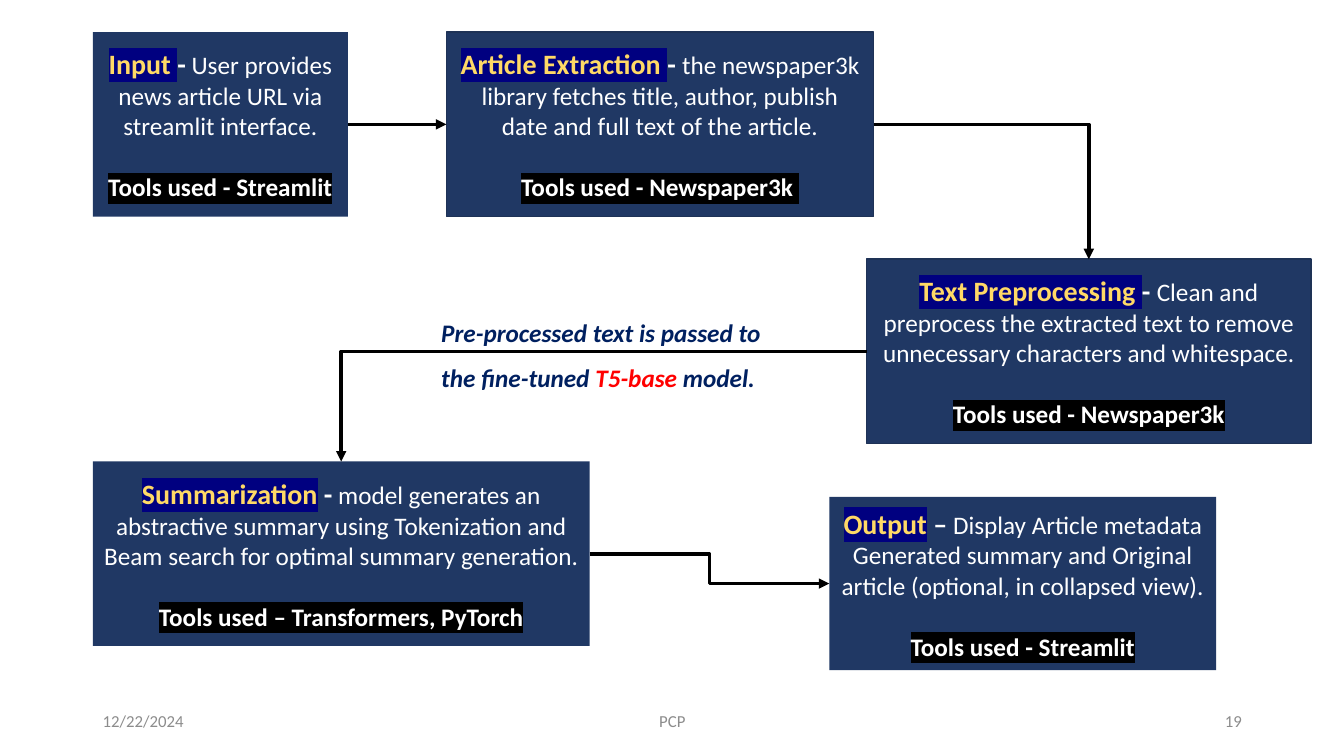
from lxml import etree
from pptx import Presentation
from pptx.dml.color import RGBColor
from pptx.enum.shapes import MSO_CONNECTOR, MSO_SHAPE
from pptx.enum.text import MSO_ANCHOR, PP_ALIGN
from pptx.oxml.ns import qn
from pptx.util import Cm, Pt

RECT = MSO_SHAPE.RECTANGLE
STRAIGHT, ELBOW = MSO_CONNECTOR.STRAIGHT, MSO_CONNECTOR.ELBOW
LEFT, CENTER, RIGHT = PP_ALIGN.LEFT, PP_ALIGN.CENTER, PP_ALIGN.RIGHT
TOP, MIDDLE = MSO_ANCHOR.TOP, MSO_ANCHOR.MIDDLE
SIDE_TOP, SIDE_LEFT, SIDE_RIGHT = 0, 1, 3

COLORS = {
    "box": "203864", "edge": "1E3256", "title": "FFD966", "mark": "000080",
    "white": "FFFFFF", "black": "000000", "note": "002060", "model": "FF0000",
    "footer": "8C8C8C",
}


def color(name):
    return RGBColor.from_string(COLORS[name])


class Flow:
    font = "Calibri"
    body, head, small = 18, 20, 12

    def __init__(self, slide):
        self.slide = slide

    def add_text(self, para, text, size=body, fill="white", bold=False,
                 italic=False, mark=None):
        run = para.add_run()
        run.text = text
        font = run.font
        font.name, font.size = self.font, Pt(size)
        font.bold, font.italic = bold, italic
        font.color.rgb = color(fill)
        if mark:
            light = etree.Element(qn("a:highlight"))
            etree.SubElement(light, qn("a:srgbClr"), val=COLORS[mark])
            props = run._r.get_or_add_rPr()
            props.find(qn("a:solidFill")).addnext(light)

    def label(self, left, top, width, height, align=LEFT, anchor=MIDDLE):
        """Add an empty text box and return its paragraph."""
        box = self.slide.shapes.add_textbox(
            Cm(left), Cm(top), Cm(width), Cm(height))
        frame = box.text_frame
        frame.word_wrap = True
        frame.vertical_anchor = anchor
        para = frame.paragraphs[0]
        para.alignment = align
        return para

    def step(self, place, title, dash, text, tools, edge=False):
        """Add one stage of the pipeline."""
        box = self.slide.shapes.add_shape(RECT, *map(Cm, place))
        box.shadow.inherit = False
        box.fill.solid()
        box.fill.fore_color.rgb = color("box")
        if edge:
            box.line.color.rgb = color("edge")
            box.line.width = Pt(1)
        else:
            box.line.fill.background()
        frame = box.text_frame
        frame.word_wrap = True
        frame.vertical_anchor = MIDDLE
        about, used = frame.paragraphs[0], frame.add_paragraph()
        about.alignment = used.alignment = CENTER
        used.space_before = Pt(22)
        self.add_text(about, title, size=self.head, fill="title", bold=True,
                      mark="mark")
        self.add_text(about, dash, size=self.head, bold=True)
        self.add_text(about, text)
        self.add_text(used, tools, bold=True, mark="black")
        return box

    def arrow(self, start, side, end, goal, kind=ELBOW, corner=False):
        """Join two boxes; corner makes an elbow with a single bend."""
        link = self.slide.shapes.add_connector(kind, 0, 0, 0, 0)
        link.begin_connect(start, side)
        link.end_connect(end, goal)
        link.line.color.rgb = color("black")
        link.line.width = Pt(2.5)
        props = link._element.spPr
        if corner:
            props.find(qn("a:prstGeom")).set("prst", "bentConnector2")
        etree.SubElement(props.find(qn("a:ln")), qn("a:tailEnd"),
                         type="triangle")
        etree.SubElement(props, qn("a:effectLst"))


def main():
    deck = Presentation()
    deck.slide_width, deck.slide_height = Cm(33.87), Cm(19.05)
    flow = Flow(deck.slides.add_slide(deck.slide_layouts[6]))

    for left, width, align, text in (
            (2.34, 7.62, LEFT, "12/22/2024"),
            (11.23, 11.43, CENTER, "PCP"),
            (23.93, 7.62, RIGHT, "19")):
        para = flow.label(left, 17.65, width, 1.02, align=align)
        flow.add_text(para, text, size=flow.small, fill="footer")

    source = flow.step(
        (2.34, 0.81, 6.43, 4.65), "Input ", "-",
        " User provides news article URL via streamlit interface.",
        "Tools used - Streamlit")
    extract = flow.step(
        (11.25, 0.81, 10.77, 4.65), "Article Extraction ", "- ",
        "the newspaper3k library fetches title, author, publish date "
        "and full text of the article.",
        "Tools used - Newspaper3k ", edge=True)
    clean = flow.step(
        (21.84, 6.53, 11.2, 4.65), "Text Preprocessing ", "- ",
        "Clean and preprocess the extracted text to remove unnecessary "
        "characters and whitespace.",
        "Tools used - Newspaper3k", edge=True)
    model = flow.step(
        (2.34, 11.63, 12.52, 4.65), "Summarization", " -",
        " model generates an abstractive summary using Tokenization and "
        "Beam search for optimal summary generation.",
        "Tools used – Transformers, PyTorch")
    output = flow.step(
        (20.9, 12.52, 9.75, 4.37), "Output", " –",
        " Display Article metadata Generated summary and Original article "
        "(optional, in collapsed view).",
        "Tools used - Streamlit")

    flow.arrow(source, SIDE_RIGHT, extract, SIDE_LEFT, kind=STRAIGHT)
    flow.arrow(extract, SIDE_RIGHT, clean, SIDE_TOP, corner=True)
    flow.arrow(clean, SIDE_LEFT, model, SIDE_TOP, corner=True)
    flow.arrow(model, SIDE_RIGHT, output, SIDE_LEFT)

    note = flow.label(10.87, 7.49, 8.71, 2.44, anchor=TOP)
    note.line_spacing = 1.5
    for text, fill in (
            ("Pre-processed text is passed to the fine-tuned ", "note"),
            ("T5-base", "model"),
            (" model.", "note")):
        flow.add_text(note, text, fill=fill, bold=True, italic=True)

    deck.save("out.pptx")


if __name__ == "__main__":
    main()
